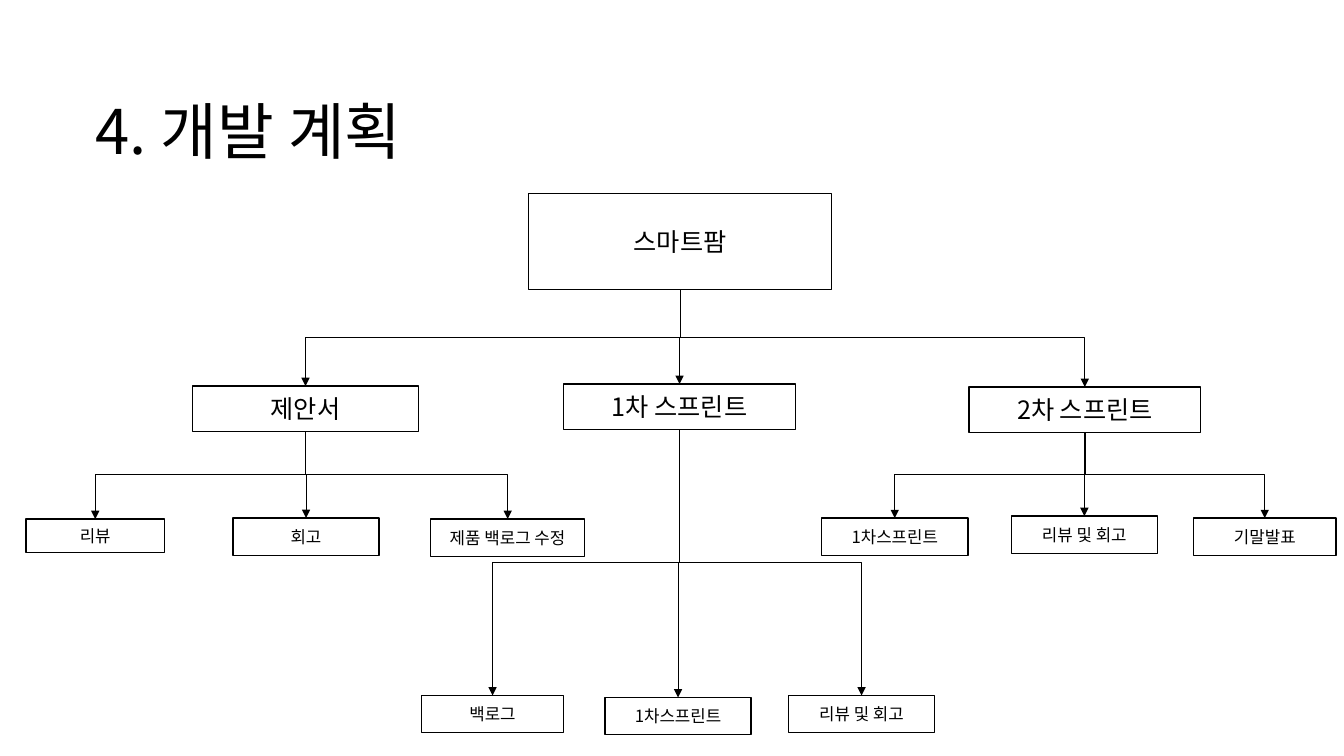
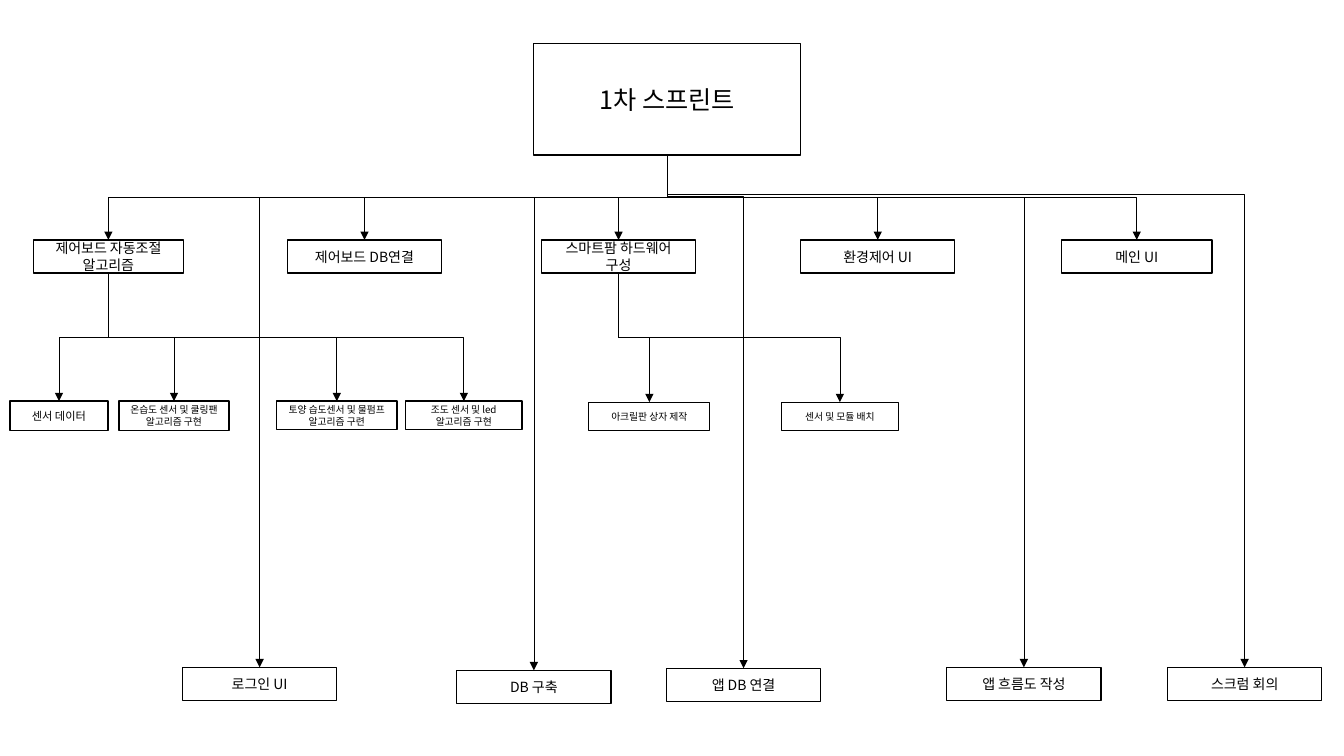
"""Build the two tree charts of the development plan."""
import pptx
import pptx.util
import pptx.dml.color
import pptx.enum.shapes
import pptx.enum.text
import pptx.oxml.ns
import lxml.etree

Inches = pptx.util.Inches
Pt = pptx.util.Pt
qn = pptx.oxml.ns.qn
BLACK = pptx.dml.color.RGBColor(0x00, 0x00, 0x00)
FONT = "Noto Sans CJK KR"
MIDDLE = pptx.enum.text.MSO_ANCHOR.MIDDLE
ALIGN = pptx.enum.text.PP_ALIGN
RECT = pptx.enum.shapes.MSO_SHAPE.RECTANGLE
ELBOW = pptx.enum.shapes.MSO_CONNECTOR.ELBOW


def write(shape, text, size, align):
    frame = shape.text_frame
    frame.text = text
    frame.word_wrap = True
    frame.auto_size = pptx.enum.text.MSO_AUTO_SIZE.NONE
    frame.vertical_anchor = MIDDLE
    para = frame.paragraphs[0]
    para.alignment = align
    for run in para.runs:
        run.font.size = Pt(size)
        run.font.name = FONT
        run.font.color.rgb = BLACK
    for props in shape.element.iter(qn("a:rPr")):
        lxml.etree.SubElement(props, qn("a:ea")).set("typeface", FONT)


def join(slide, above, below, bus):
    start = above.left + above.width // 2
    end = below.left + below.width // 2
    top = above.top + above.height
    drop = below.top - top
    span = abs(end - start)
    link = slide.shapes.add_connector(ELBOW, start, top, end, below.top)
    link.begin_connect(above, 2)
    link.end_connect(below, 0)
    link.left = (start + end - drop) // 2
    link.top = top + (drop - span) // 2
    link.width, link.height = drop, span
    link.line.color.rgb = BLACK
    link.line.width = Pt(0.5)
    props = link.element.spPr
    right = end > start
    frame = props.find(qn("a:xfrm"))
    frame.set("rot", "16200000" if right else "5400000")
    frame.set("flipH", "1" if right else "0")
    frame.set("flipV", "0")
    guide = lxml.etree.SubElement(props.find(qn("a:prstGeom")).find(qn("a:avLst")), qn("a:gd"))
    guide.set("name", "adj1")
    guide.set("fmla", f"val {round((Inches(bus) - top) / drop * 100000)}")
    lxml.etree.SubElement(props.find(qn("a:ln")), qn("a:tailEnd")).set("type", "triangle")
    lxml.etree.SubElement(props, qn("a:effectLst"))


deck = pptx.Presentation()
deck.slide_width, deck.slide_height = Inches(13.33), Inches(7.5)

# Each box: parent index, bus height, text size, left, top, width, height, text
plan = [
    (None, 0, 18, 5.24, 1.92, 3.01, 0.95, "스마트팜"),
    (0, 3.35, 18, 1.91, 3.83, 2.24, 0.45, "제안서"),
    (0, 3.35, 18, 5.59, 3.81, 2.3, 0.45, "1차 스프린트"),
    (0, 3.35, 18, 9.61, 3.84, 2.3, 0.45, "2차 스프린트"),
    (1, 4.71, 12, 0.26, 5.15, 1.37, 0.33, "리뷰"),
    (1, 4.71, 12, 2.31, 5.14, 1.45, 0.37, "회고"),
    (1, 4.71, 12, 4.27, 5.15, 1.53, 0.37, "제품 백로그 수정"),
    (2, 5.58, 12, 4.18, 6.9, 1.41, 0.37, "백로그"),
    (2, 5.58, 12, 6, 6.92, 1.45, 0.37, "1차스프린트"),
    (2, 5.58, 12, 7.82, 6.9, 1.45, 0.37, "리뷰 및 회고"),
    (3, 4.71, 12, 8.15, 5.14, 1.45, 0.37, "1차스프린트"),
    (3, 4.71, 12, 10.03, 5.12, 1.45, 0.37, "리뷰 및 회고"),
    (3, 4.71, 12, 11.84, 5.14, 1.41, 0.37, "기말발표"),
]
sprint = [
    (None, 0, 18, 5.29, 0.43, 2.65, 1.11, "1차 스프린트"),
    (0, 1.96, 10, 0.33, 2.38, 1.49, 0.33, "제어보드 자동조절 알고리즘"),
    (0, 1.96, 10, 2.85, 2.38, 1.53, 0.33, "제어보드 DB연결"),
    (0, 1.96, 10, 5.37, 2.38, 1.53, 0.33, "스마트팜 하드웨어 구성"),
    (0, 1.96, 10, 7.94, 2.38, 1.53, 0.33, "환경제어 UI"),
    (0, 1.96, 10, 10.53, 2.38, 1.49, 0.33, "메인 UI"),
    (0, 1.96, 10, 1.81, 6.62, 1.53, 0.33, "로그인 UI"),
    (0, 1.96, 10, 4.53, 6.65, 1.53, 0.33, "DB 구축"),
    (0, 1.95, 10, 6.61, 6.63, 1.53, 0.33, "앱 DB 연결"),
    (0, 1.96, 10, 9.39, 6.62, 1.53, 0.33, "앱 흐름도 작성"),
    (0, 1.93, 10, 11.58, 6.62, 1.53, 0.33, "스크럼 회의"),
    (1, 3.35, 8, 0.1, 3.98, 0.97, 0.29, "센서 데이터"),
    (1, 3.35, 7, 1.18, 3.98, 1.09, 0.29, "온습도 센서 및 쿨링팬 알고리즘 구현"),
    (1, 3.35, 7, 2.74, 3.98, 1.2, 0.28, "토양 습도센서 및 물펌프 알고리즘 구련"),
    (1, 3.35, 7, 4.02, 3.98, 1.16, 0.28, "조도 센서 및 led알고리즘 구현"),
    (3, 3.35, 7, 5.84, 3.99, 1.2, 0.28, "아크릴판 상자 제작"),
    (3, 3.35, 7, 7.75, 3.99, 1.16, 0.28, "센서 및 모듈 배치"),
]

for layout, title, tree in ((5, "4. 개발 계획", plan), (6, None, sprint)):
    slide = deck.slides.add_slide(deck.slide_layouts[layout])
    if title:
        head = slide.shapes.title
        head.left, head.top = Inches(0.85), Inches(0.87)
        head.width, head.height = Inches(6.67), Inches(0.84)
        write(head, title, 44, ALIGN.LEFT)
    boxes = []
    for parent, bus, size, left, top, width, height, text in tree:
        box = slide.shapes.add_shape(
            RECT, Inches(left), Inches(top), Inches(width), Inches(height))
        box.shadow.inherit = False
        box.fill.background()
        box.line.color.rgb = BLACK
        box.line.width = Pt(1)
        write(box, text, size, ALIGN.CENTER)
        boxes.append(box)
    for box, (parent, bus, *rest) in zip(boxes, tree):
        if parent is not None:
            join(slide, boxes[parent], box, bus)

deck.save("out.pptx")
